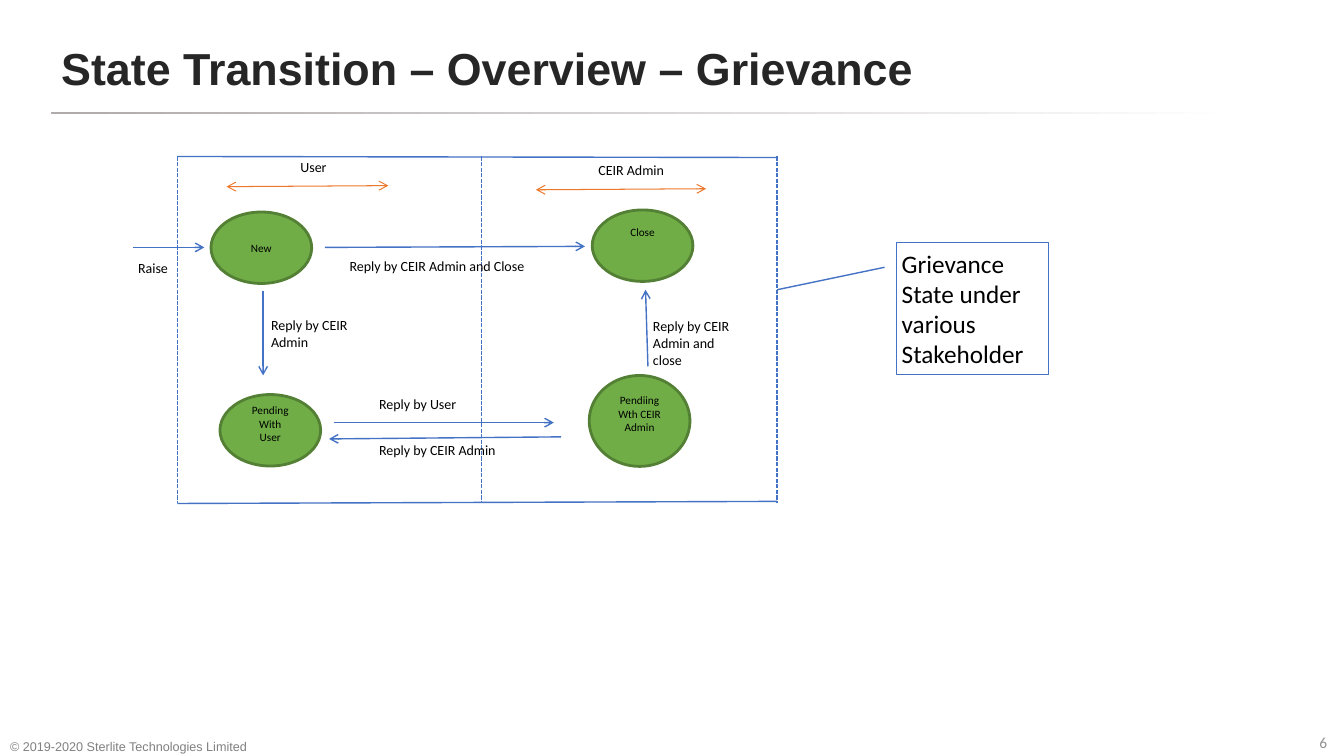
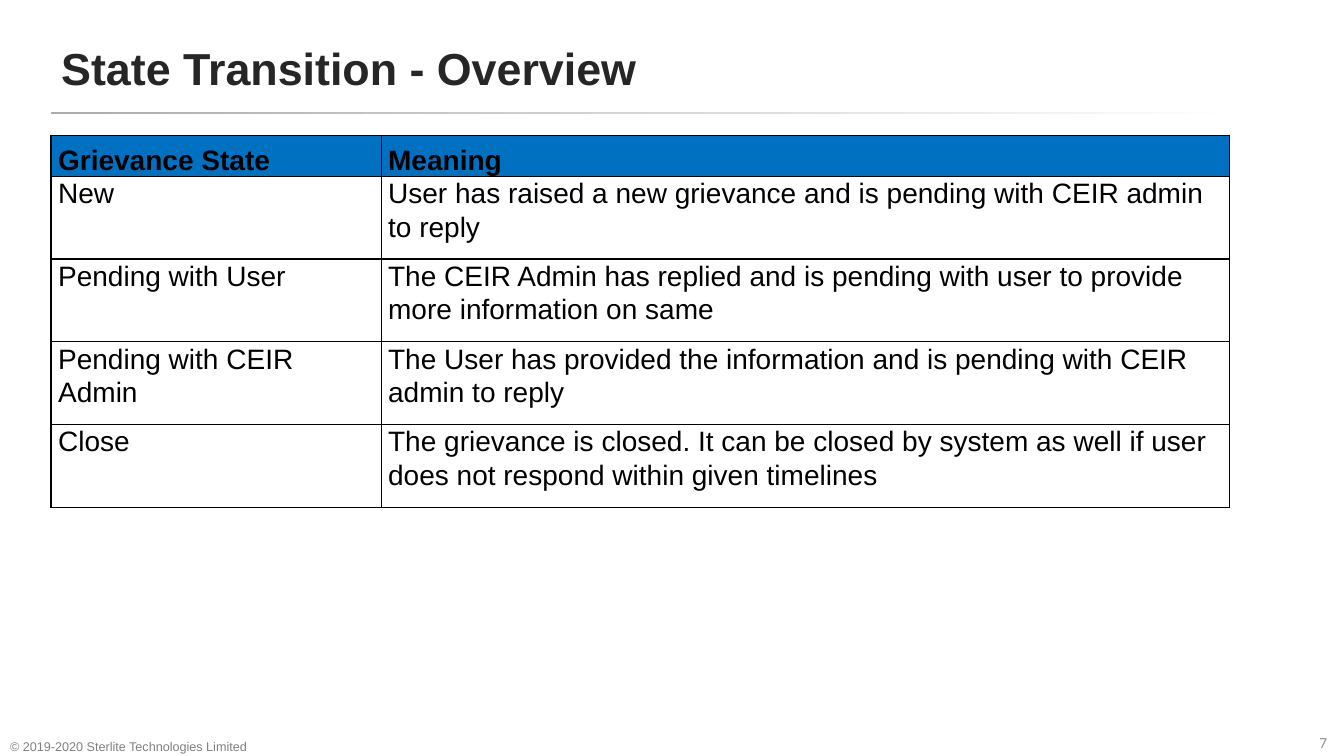
from dataclasses import dataclass

from lxml import etree
from pptx import Presentation, util as u
from pptx.dml.color import RGBColor
from pptx.enum import dml, shapes, text
from pptx.oxml import ns

KIND, ALIGN, ANCHOR = shapes.MSO_SHAPE, text.PP_ALIGN, text.MSO_ANCHOR


@dataclass(frozen=True)
class Theme:
    """Hold the colours, fonts and type sizes of the deck."""
    ink: str = "000000"
    title: str = "262626"
    rule: str = "AFABAB"
    white: str = "FFFFFF"
    page: str = "929292"
    foot: str = "808080"
    blue: str = "4472C4"
    lane: str = "EC792B"
    green: str = "70AD47"
    rim: str = "538035"
    head: str = "0070C0"
    sans: str = "Arial"
    body: str = "Calibri"
    big: int = 32
    cell: int = 20
    note: int = 18
    num: int = 11
    label: int = 10
    small: int = 9
    state: int = 8


@dataclass(frozen=True)
class Box:
    """Describe an area in inches, split into 100 columns and 100 rows."""
    x: float
    y: float
    w: float
    h: float

    def point(self, col, row):
        """Return the lengths of a grid point."""
        return (u.Inches(self.x + self.w * col / 100),
                u.Inches(self.y + self.h * row / 100))

    def sub(self, col, row, wide, high):
        """Return a smaller area given in columns and rows."""
        return Box(self.x + self.w * col / 100, self.y + self.h * row / 100,
                   self.w * wide / 100, self.h * high / 100)

    def emu(self):
        """Return left, top, width and height as lengths."""
        return tuple(u.Inches(v) for v in (self.x, self.y, self.w, self.h))


T = Theme()
PAGE = Box(0, 0, 13.33, 7.5)
COPY = "© 2019-2020 Sterlite Technologies Limited"

STATES = [
    ("New", (5.6, 16, 16.8, 20.6), ANCHOR.MIDDLE, (0.05, 0.05)),
    ("Close", (69.2, 15.4, 16.8, 20.6), ANCHOR.TOP, (0.05, 0.05)),
    ("Pendiing\nWth CEIR Admin", (68.7, 63.1, 16.8, 26.2), ANCHOR.TOP, (0.05, 0.05)),
    ("Pending With\nUser", (7.1, 68.6, 16.8, 20.6), ANCHOR.MIDDLE, (0, 0.13)),
]
MOVES = [
    ((-7.4, 26.2), (4.5, 26.2)),
    ((24.6, 26.2), (68, 25.9)),
    ((14.3, 38.7), (14.3, 63.1)),
    ((26.1, 76.7), (62.8, 76.7)),
    ((64, 80.8), (25.3, 81.4)),
    ((78.5, 60.5), (78.1, 38.4)),
]
LANES = [((8.2, 8.7), (35.2, 8.4)), ((59.8, 9.6), (88.2, 9.3))]
EDGES = [((0, 0), (100, 0.3)), ((0, 100), (100, 99.4))]
LABELS = [
    ("Raise", (-7.4, 28.2, 6.7, 12.8), ALIGN.LEFT),
    ("Reply by CEIR Admin and Close", (27.9, 27.6, 36.7, 7.8), ALIGN.LEFT),
    ("Reply by CEIR Admin and close", (78.5, 45.1, 16, 17.7), ALIGN.LEFT),
    ("Reply by CEIR Admin", (14.8, 44.8, 18.2, 12.8), ALIGN.LEFT),
    ("Reply by User", (32.8, 67.4, 23.1, 7.8), ALIGN.LEFT),
    ("Reply by CEIR Admin", (32.8, 80.8, 23.1, 7.8), ALIGN.LEFT),
    ("CEIR Admin", (69.4, 0, 21.2, 7.8), ALIGN.LEFT),
    ("User", (12.1, -0.9, 21.2, 7.8), ALIGN.CENTER),
]
ROWS = [
    ("Grievance State", "Meaning"),
    ("New", "User has raised a new grievance and is pending with CEIR admin to reply"),
    ("Pending with User", "The CEIR Admin has replied and is pending with user "
     "to provide more information on same"),
    ("Pending with CEIR Admin", "The User has provided the information and is "
     "pending with CEIR admin to reply"),
    ("Close", "The grievance is closed. It can be closed by system as well if user "
     "does not respond within given timelines"),
]


def rgb(code):
    """Turn a hex code into a colour."""
    return RGBColor.from_string(code)


def write(frame, words, size, color=T.ink, font=T.body, bold=False,
          align=ALIGN.LEFT, anchor=ANCHOR.TOP, pad=(0.05, 0.05), wrap=True):
    """Fill a text frame and format its runs."""
    frame.text = words
    frame.word_wrap = wrap
    frame.auto_size = text.MSO_AUTO_SIZE.NONE
    frame.vertical_anchor = anchor
    frame.margin_left = frame.margin_right = u.Inches(0.05)
    frame.margin_top, frame.margin_bottom = map(u.Inches, pad)
    style(frame.paragraphs, size, color, font, bold, align)


def style(paras, size, color, font, bold, align):
    """Format paragraphs and their runs."""
    for para in paras:
        para.alignment = align
        for run in para.runs:
            run.font.size, run.font.name, run.font.bold = u.Pt(size), font, bold
            run.font.color.rgb = rgb(color)


def shape(slide, kind, box, fill, line, width):
    """Add a flat preset shape."""
    item = slide.shapes.add_shape(kind, *box.emu())
    item.shadow.inherit = False
    item.fill.solid()
    item.fill.fore_color.rgb = rgb(fill)
    item.line.color.rgb = rgb(line)
    item.line.width = u.Pt(width)
    return item


def link(slide, box, ends, color=T.blue, width=1, tips=(), dash=False):
    """Draw a line between two grid points, with optional tips."""
    start, stop = (box.point(*end) for end in ends)
    item = slide.shapes.add_connector(shapes.MSO_CONNECTOR.STRAIGHT, *start, *stop)
    item.line.color.rgb = rgb(color)
    item.line.width = u.Pt(width)
    if dash:
        item.line.dash_style = dml.MSO_LINE.SQUARE_DOT
    pen = item.line._get_or_add_ln()
    for tip in tips:
        etree.SubElement(pen, ns.qn(f"a:{tip}"), type="arrow")
    etree.SubElement(item._element.spPr, ns.qn("a:effectLst"))


def label(slide, box, words, size, **look):
    """Add a text box."""
    write(slide.shapes.add_textbox(*box.emu()).text_frame, words, size, **look)


def base(deck, title, number):
    """Start a slide with its title, rule, footer and page number."""
    slide = deck.slides.add_slide(deck.slide_layouts[5])
    head = slide.shapes.title
    head.left, head.top, head.width, head.height = PAGE.sub(3.8, 3.1, 74.4, 11.7).emu()
    write(head.text_frame, title, T.big, T.title, T.sans, True, anchor=ANCHOR.MIDDLE)
    head.text_frame.margin_left = u.Inches(0.1)
    bar = shape(slide, KIND.ROUNDED_RECTANGLE, PAGE.sub(3.8, 14.8, 92.3, 0.3),
                T.rule, T.rule, 1)
    bar.adjustments[0] = 0.5
    bar.line.fill.background()
    bar.fill.gradient()
    bar.fill.gradient_angle = 0
    for stop, color, place in zip(bar.fill.gradient_stops, (T.rule, T.white), (0, 0.96)):
        stop.color.rgb, stop.position = rgb(color), place
    label(slide, PAGE.sub(97.8, 96.3, 2, 3.3), str(number), T.num, color=T.page, wrap=False)
    foot = PAGE.sub(0.38, 96.3, 22.3, 4.1)
    label(slide, foot, COPY, T.small, color=T.foot, font=T.sans, anchor=ANCHOR.BOTTOM)
    return slide


def flow(slide, box):
    """Draw the state diagram with its two lanes and callout."""
    for words, area, anchor, pad in STATES:
        oval = shape(slide, KIND.OVAL, box.sub(*area), T.green, T.rim, 2)
        write(oval.text_frame, words, T.state, align=ALIGN.CENTER, anchor=anchor, pad=pad)
    for ends in EDGES:
        link(slide, box, ends)
    for col in (0, 50.7, 100):
        link(slide, box, ((col, 0), (col, 100)), dash=True)
    for ends in MOVES:
        link(slide, box, ends, tips=("tailEnd",))
    for ends in LANES:
        link(slide, box, ends, T.lane, 0.75, ("headEnd", "tailEnd"))
    for words, area, align in LABELS:
        label(slide, box.sub(*area), words, T.label, align=align)
    note = shape(slide, KIND.LINE_CALLOUT_1, box.sub(120, 24.7, 25.3, 38.1),
                 T.white, T.blue, 1)
    for i, share in enumerate((0.19, -0.08, 0.36, -0.79)):
        note.adjustments[i] = share
    write(note.text_frame, "Grievance State under various Stakeholder", T.note,
          anchor=ANCHOR.MIDDLE)


def border(cell):
    """Give a cell thin black borders."""
    props = cell._tc.get_or_add_tcPr()
    for i, side in enumerate(("lnL", "lnR", "lnT", "lnB")):
        pen = etree.Element(ns.qn(f"a:{side}"), w=str(u.Pt(1)))
        fill = etree.SubElement(pen, ns.qn("a:solidFill"))
        etree.SubElement(fill, ns.qn("a:srgbClr"), val=T.ink)
        props.insert(i, pen)


def grid(slide, box):
    """Lay out the table of states and meanings."""
    table = slide.shapes.add_table(len(ROWS), 2, *box.emu()).table
    for col, share in zip(table.columns, (0.28, 0.72)):
        col.width = u.Inches(box.w * share)
    for r, row in enumerate(ROWS):
        top = r == 0
        table.rows[r].height = u.Inches(box.h * (0.11 if top else 0.89 / (len(ROWS) - 1)))
        for c, words in enumerate(row):
            cell = table.cell(r, c)
            cell.text_frame.text = words
            cell.margin_left = cell.margin_right = u.Inches(0.07)
            cell.margin_top = cell.margin_bottom = 0
            cell.vertical_anchor = ANCHOR.BOTTOM if top else ANCHOR.TOP
            cell.text_frame.paragraphs[0].line_spacing = 1.07
            style(cell.text_frame.paragraphs, T.cell, T.ink, T.sans, top, ALIGN.LEFT)
            if top:
                cell.fill.solid()
                cell.fill.fore_color.rgb = rgb(T.head)
            else:
                cell.fill.background()
            border(cell)


def main():
    """Build and save the deck."""
    deck = Presentation()
    deck.slide_width, deck.slide_height = u.Inches(PAGE.w), u.Inches(PAGE.h)
    flow(base(deck, "State Transition – Overview – Grievance", 6),
         PAGE.sub(13.2, 20.7, 44.6, 45.9))
    grid(base(deck, "State Transition - Overview", 7),
         PAGE.sub(3.8, 17.9, 87.7, 49.2))
    deck.save("out.pptx")


if __name__ == "__main__":
    main()
